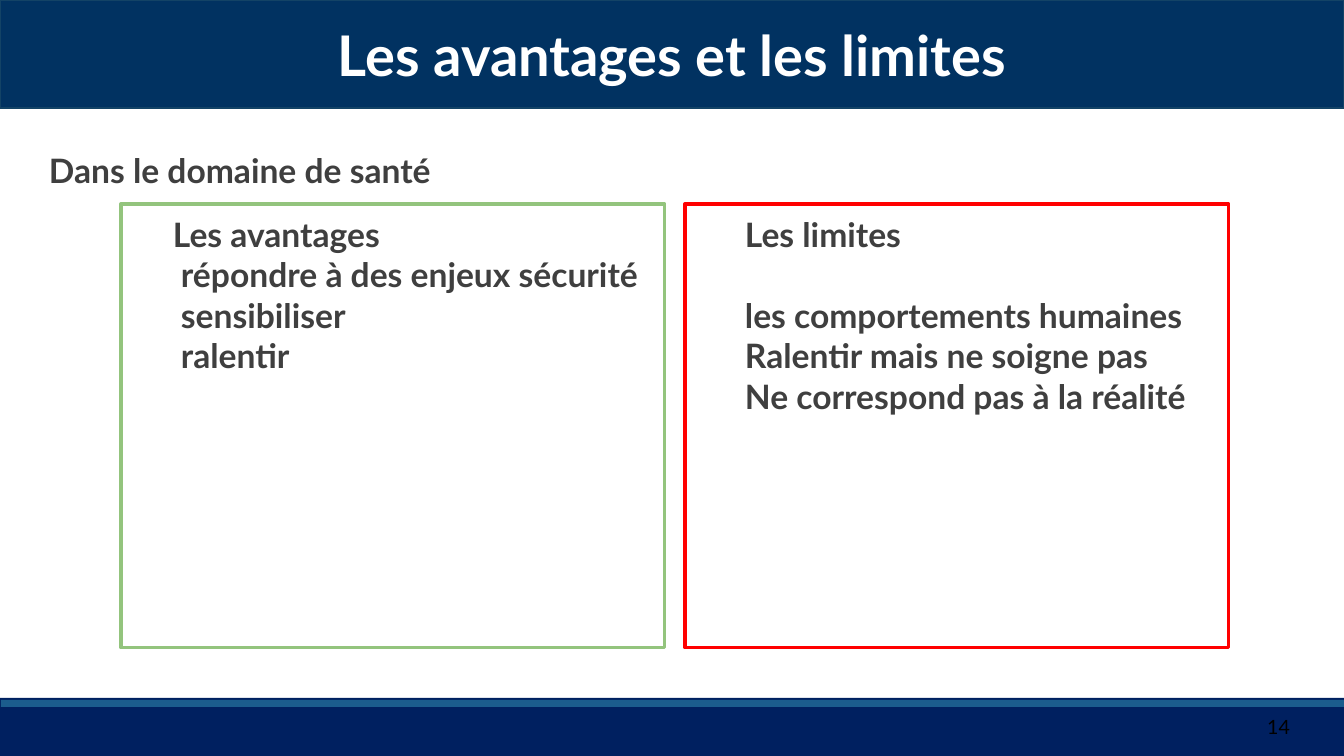
from pptx import Presentation
from pptx import util as u
from pptx.dml.color import RGBColor
from pptx.enum import shapes, text

TITLE = "Les avantages et les limites"
TOPIC = "Dans le domaine de santé"
PAGE = "14"
# Each line: text, left indent in px, lines skipped above
PANELS = [
    ("green", [
        ("Les avantages", 42, 0),
        ("répondre à des enjeux sécurité", 50, 0),
        ("sensibiliser", 50, 0),
        ("ralentir", 50, 0),
    ]),
    ("red", [
        ("Les limites", 50, 0),
        ("les comportements humaines", 50, 1),
        ("Ralentir mais ne soigne pas", 50, 0),
        ("Ne correspond pas à la réalité", 50, 0),
    ]),
]
THEME = {
    "font": "Lato",
    "white": "FFFFFF", "black": "000000", "ink": "3F3F3F",
    "band": "013261", "edge": "134366",
    "foot": "002060", "stripe": "1B5C8D",
    "green": "93C47D", "red": "FF0000",
    "title": 40, "body": 24, "page": 14,
}
WIDE, HIGH = 1344, 756
LEFT, TOP, PANEL_W, PANEL_H, GAP = 121, 204, 544, 444, 20
PAD, LEAD = 10, 1.2


def px(n):
    return u.Emu(round(n * 12192000 / WIDE))


def tint(name):
    return RGBColor.from_string(THEME[name])


def rect(slide, box, fill=None, line=None, width=0):
    shape = slide.shapes.add_shape(shapes.MSO_SHAPE.RECTANGLE, *map(px, box))
    shape.shadow.inherit = False
    if fill:
        shape.fill.solid()
        shape.fill.fore_color.rgb = tint(fill)
    else:
        shape.fill.background()
    if line:
        shape.line.color.rgb = tint(line)
        shape.line.width = u.Pt(width)
    else:
        shape.line.fill.background()
    return shape


def write(shape, lines, size, color, bold=True,
          align=text.PP_ALIGN.LEFT, anchor=text.MSO_ANCHOR.TOP):
    frame = shape.text_frame
    frame.word_wrap = True
    frame.vertical_anchor = anchor
    frame.margin_left = frame.margin_right = px(PAD)
    frame.margin_top = frame.margin_bottom = px(PAD)
    for i, (words, indent, skip) in enumerate(lines):
        para = frame.add_paragraph() if i else frame.paragraphs[0]
        para.alignment = align
        if indent:
            para._p.get_or_add_pPr().set("marL", str(px(indent)))
        if skip:
            para.space_before = u.Pt(round(skip * THEME[size] * LEAD))
        run = para.add_run()
        run.text = words
        run.font.name = THEME["font"]
        run.font.size = u.Pt(THEME[size])
        run.font.bold = bold
        run.font.color.rgb = tint(color)


def main():
    deck = Presentation()
    deck.slide_width, deck.slide_height = px(WIDE), px(HIGH)
    slide = deck.slides.add_slide(deck.slide_layouts[6])

    rect(slide, (0, 698, WIDE, 58), "foot")
    rect(slide, (1, 700, WIDE - 1, 7), "stripe")
    band = rect(slide, (0, 0, WIDE, 108), "band", "edge", 1.25)
    write(band, [(TITLE, 0, 0)], "title", "white",
          align=text.PP_ALIGN.CENTER, anchor=text.MSO_ANCHOR.MIDDLE)

    topic = slide.shapes.add_textbox(*map(px, (39, 140, 764, 58)))
    write(topic, [(TOPIC, 0, 0)], "body", "ink")

    for i, (color, lines) in enumerate(PANELS):
        left = LEFT + i * (PANEL_W + GAP)
        panel = rect(slide, (left, TOP, PANEL_W, PANEL_H), None, color, 2.25)
        write(panel, lines, "body", "ink")

    page = slide.shapes.add_textbox(*map(px, (1200, 707, 100, 40)))
    write(page, [(PAGE, 0, 0)], "page", "black", bold=False,
          align=text.PP_ALIGN.RIGHT, anchor=text.MSO_ANCHOR.MIDDLE)
    deck.save("out.pptx")


if __name__ == "__main__":
    main()
